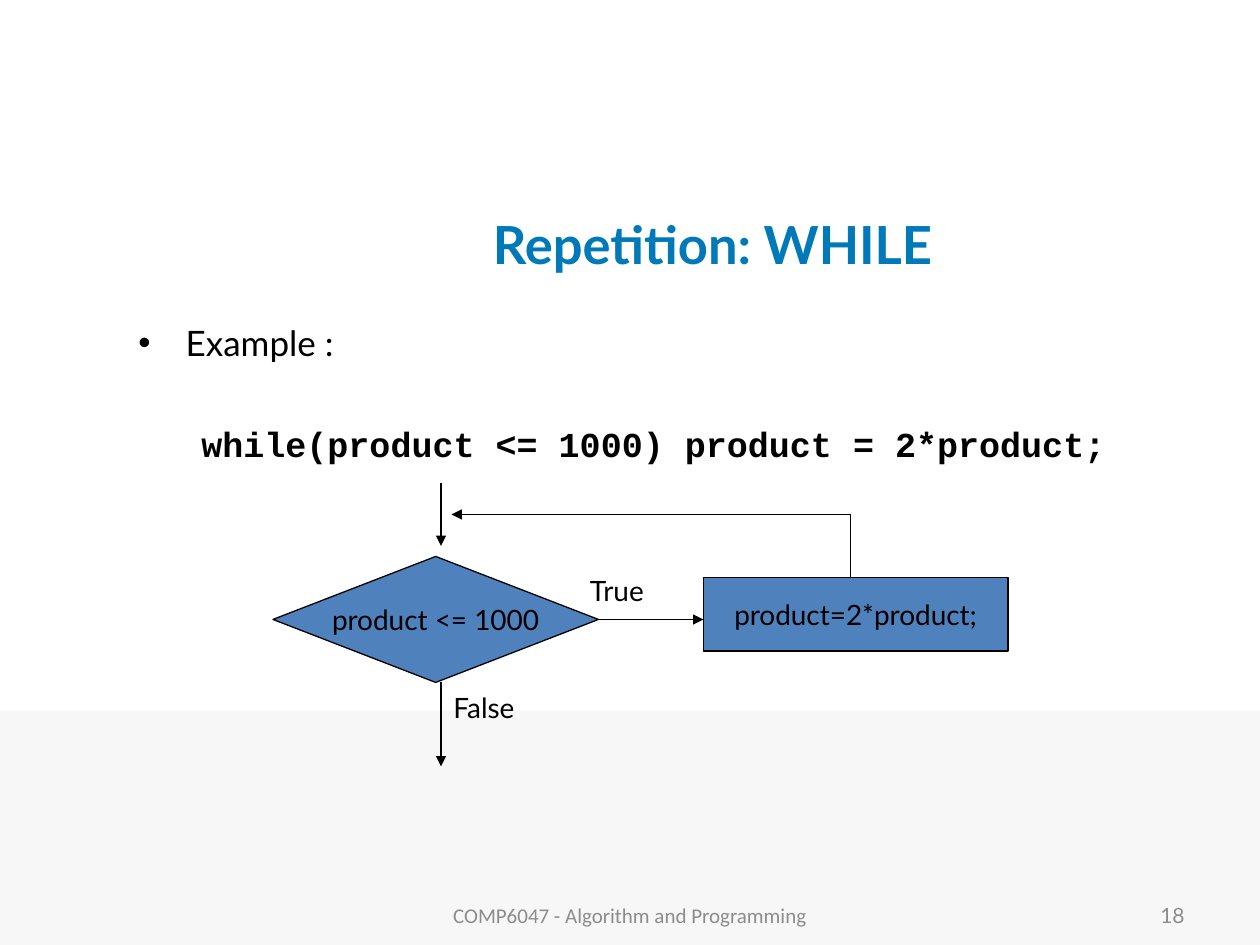
from dataclasses import dataclass

from lxml.etree import SubElement
from pptx import Presentation
from pptx.dml.color import RGBColor
from pptx.enum.shapes import MSO_CONNECTOR, MSO_SHAPE
from pptx.enum.text import MSO_ANCHOR, PP_ALIGN
from pptx.oxml.ns import qn
from pptx.util import Pt


@dataclass(frozen=True)
class Theme:
    band: RGBColor = RGBColor(0xF7, 0xF7, 0xF7)
    title: RGBColor = RGBColor(0x00, 0x79, 0xB8)
    node: RGBColor = RGBColor(0x4F, 0x81, 0xBD)
    ink: RGBColor = RGBColor(0, 0, 0)
    muted: RGBColor = RGBColor(0x8C, 0x8C, 0x8C)
    font: str = "Lato"
    code_font: str = "Courier New"
    footer_font: str = "Calibri"
    title_size: int = 30
    body_size: int = 20
    label_size: int = 16
    footer_size: int = 12
    line_width: float = 0.75


theme = Theme()


def write(para, text, size, color=theme.ink, font=theme.font, bold=False, align=PP_ALIGN.LEFT):
    para.alignment = align
    span = para.add_run()
    span.text = text
    span.font.size = Pt(size)
    span.font.name = font
    span.font.bold = bold
    span.font.color.rgb = color


def add_box(left, top, width, height, anchor=MSO_ANCHOR.TOP):
    box = page.shapes.add_textbox(Pt(left), Pt(top), Pt(width), Pt(height))
    box.text_frame.word_wrap = True
    box.text_frame.vertical_anchor = anchor
    return box.text_frame


deck = Presentation()
deck.slide_width = Pt(720)
deck.slide_height = Pt(540)
page = deck.slides.add_slide(deck.slide_layouts[6])

band = page.shapes.add_shape(MSO_SHAPE.RECTANGLE, Pt(0), Pt(406), Pt(720), Pt(134))
band.shadow.inherit = False
band.fill.solid()
band.fill.fore_color.rgb = theme.band
band.line.fill.background()

title = add_box(138, 108, 538.5, 62.5, MSO_ANCHOR.MIDDLE)
write(title.paragraphs[0], "Repetition: WHILE", theme.title_size, theme.title,
      bold=True, align=PP_ALIGN.CENTER)

body = add_box(72, 180, 618, 293)
example = body.paragraphs[0]
write(example, "Example :", theme.body_size)
example_format = example._p.get_or_add_pPr()
example_format.set("marL", str(Pt(27)))
example_format.set("indent", str(Pt(-27)))
SubElement(example_format, qn("a:buFont")).set("typeface", "Arial")
SubElement(example_format, qn("a:buChar")).set("char", "•")

code = body.add_paragraph()
write(code, "while(product <= 1000) product = 2*product;", theme.body_size,
      font=theme.code_font, bold=True)
code.space_before = Pt(34)
code_format = code._p.get_or_add_pPr()
code_format.set("marL", str(Pt(72.5)))
code_format.set("indent", str(Pt(-36.5)))

nodes = []
for kind, text, left, top, width, height in (
    (MSO_SHAPE.FLOWCHART_DECISION, "product <= 1000", 156, 318, 186, 72),
    (MSO_SHAPE.FLOWCHART_PROCESS, "product=2*product;", 402, 330, 174, 42),
):
    node = page.shapes.add_shape(kind, Pt(left), Pt(top), Pt(width), Pt(height))
    node.shadow.inherit = False
    node.fill.solid()
    node.fill.fore_color.rgb = theme.node
    node.line.color.rgb = theme.ink
    node.line.width = Pt(theme.line_width)
    node.text_frame.word_wrap = False
    node.text_frame.vertical_anchor = MSO_ANCHOR.MIDDLE
    write(node.text_frame.paragraphs[0], text, theme.label_size, align=PP_ALIGN.CENTER)
    nodes.append(node)
decision, process = nodes

for start_x, start_y, end_x, end_y, source, arrow in (
    (252, 276, 252, 312, None, True),
    (342, 354, 402, 354, decision, True),
    (486, 330, 486, 294, None, False),
    (486, 294, 258, 294, None, True),
    (252, 390, 252, 438, None, True),
):
    flow = page.shapes.add_connector(
        MSO_CONNECTOR.STRAIGHT, Pt(start_x), Pt(start_y), Pt(end_x), Pt(end_y))
    if source is not None:
        flow.begin_connect(source, 3)
    flow.line.color.rgb = theme.ink
    flow.line.width = Pt(theme.line_width)
    if arrow:
        SubElement(flow.line._get_or_add_ln(), qn("a:tailEnd")).set("type", "triangle")
    SubElement(flow._element.spPr, qn("a:effectLst"))

for text, left, top, width in (("False", 252, 391, 66), ("True", 330, 324, 60)):
    label = add_box(left, top, width, 26.6)
    write(label.paragraphs[0], text, theme.label_size)

for text, left, width, font, align in (
    ("COMP6047 - Algorithm and Programming", 246, 228, theme.footer_font, PP_ALIGN.CENTER),
    ("18", 516, 168, theme.font, PP_ALIGN.RIGHT),
):
    footer = add_box(left, 508.5, width, 28.75, MSO_ANCHOR.MIDDLE)
    write(footer.paragraphs[0], text, theme.footer_size, theme.muted, font, align=align)

deck.save("out.pptx")
